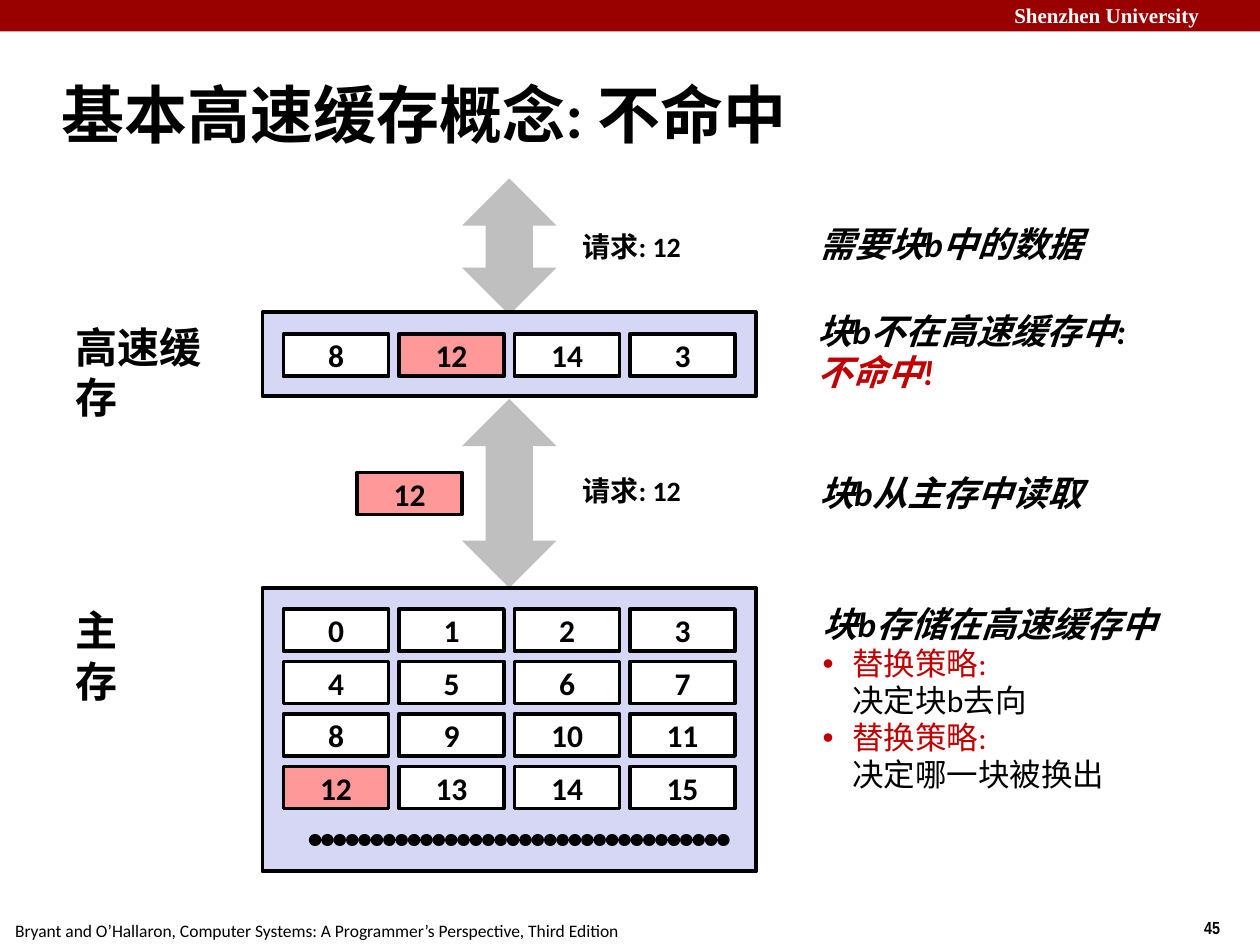
from dataclasses import dataclass

from lxml.etree import SubElement
from pptx import Presentation
from pptx.dml.color import RGBColor
from pptx.enum.shapes import MSO_CONNECTOR, MSO_SHAPE
from pptx.enum.text import MSO_ANCHOR as ANCHOR, MSO_AUTO_SIZE, PP_ALIGN as ALIGN
from pptx.oxml.ns import qn
from pptx.util import Pt

BLACK = RGBColor(0, 0, 0)
WHITE = RGBColor(0xFF, 0xFF, 0xFF)
BANNER = RGBColor(0x99, 0, 0)
RED = RGBColor(0xC0, 0, 0)
GREY = RGBColor(0xBF, 0xBF, 0xBF)
LAVENDER = RGBColor(0xD6, 0xD6, 0xF5)
PINK = RGBColor(0xFF, 0x99, 0x99)

CELL_W, CELL_H = 60, 24
STEP_X, STEP_Y = 66, 30
GRID_LEFT, CACHE_TOP, MEMORY_TOP = 162, 191, 348
REQUESTED = 12


@dataclass
class Label:
    text: str
    left: float
    top: float
    width: float
    height: float
    size: float
    bold: bool = True
    italic: bool = False
    color: RGBColor = BLACK
    font: str = "Calibri"
    align: ALIGN = ALIGN.LEFT
    anchor: ANCHOR = ANCHOR.TOP
    spacing: float = 1.0
    wrap: bool = False


def note(text: str, left: float, top: float, width: float, height: float) -> Label:
    """Describe an italic comment in the right-hand column."""
    return Label(text, left, top, width, height, 20, italic=True,
                 anchor=ANCHOR.MIDDLE, spacing=0.98)


def request(top: float) -> Label:
    return Label(f"请求: {REQUESTED}", 324, top, 74, 26.5, 16, align=ALIGN.CENTER)


FRAME_LABELS = [
    Label("Shenzhen University", 572.5, -2, 152.5, 21.5, 12, color=WHITE,
          font="Times New Roman", wrap=True),
    Label("45", 681, 520.5, 54, 19.5, 10, font="Arial Narrow"),
    Label("Bryant and O’Hallaron, Computer Systems: A Programmer’s Perspective, "
          "Third Edition", 1.5, 522, 361, 19.5, 10, bold=False),
]
DIAGRAM_LABELS = [
    Label("高速缓存", 36, 180, 110, 36, 24),
    Label("主存", 36, 342, 62, 36, 24),
    request(127.5),
    request(267),
    note("需要块b中的数据", 461, 124.5, 175, 31),
    note("块b从主存中读取", 461, 267, 175, 31),
]
MISS_NOTE = note("块b不在高速缓存中:\n不命中!", 460, 174, 205, 55)
POLICY_NOTE = note("块b存储在高速缓存中\n替换策略:\v决定块b去向\n替换策略:\v决定哪一块被换出",
                   463, 341.5, 214.5, 116)


def style_run(r, size: float, bold: bool, italic: bool, color: RGBColor,
              font: str = "Calibri") -> None:
    r.font.name = font
    r.font.size = Pt(size)
    r.font.bold = bold
    r.font.italic = italic
    r.font.color.rgb = color


def draw_label(slide, label: Label):
    box = slide.shapes.add_textbox(Pt(label.left), Pt(label.top),
                                   Pt(label.width), Pt(label.height))
    tf = box.text_frame
    tf.text = label.text
    tf.word_wrap = label.wrap
    tf.auto_size = MSO_AUTO_SIZE.SHAPE_TO_FIT_TEXT
    tf.vertical_anchor = label.anchor
    for p in tf.paragraphs:
        p.alignment = label.align
        p.line_spacing = label.spacing
        for r in p.runs:
            style_run(r, label.size, label.bold, label.italic, label.color, label.font)
    return tf


def draw_shape(slide, kind: MSO_SHAPE, left: float, top: float, width: float,
               height: float, fill: RGBColor, outlined: bool = False):
    sp = slide.shapes.add_shape(kind, Pt(left), Pt(top), Pt(width), Pt(height))
    sp.shadow.inherit = False
    sp.fill.solid()
    sp.fill.fore_color.rgb = fill
    if outlined:
        sp.line.color.rgb = BLACK
        sp.line.width = Pt(2.25)
    else:
        sp.line.fill.background()
    return sp


def draw_block(slide, number: int, left: float, top: float) -> None:
    fill = PINK if number == REQUESTED else WHITE
    sp = draw_shape(slide, MSO_SHAPE.RECTANGLE, left, top, CELL_W, CELL_H, fill, True)
    tf = sp.text_frame
    tf.text = str(number)
    tf.vertical_anchor = ANCHOR.MIDDLE
    p = tf.paragraphs[0]
    p.alignment = ALIGN.CENTER
    style_run(p.runs[0], 18, True, False, BLACK)


def draw_row(slide, numbers: list[int], top: float) -> None:
    for column, number in enumerate(numbers):
        draw_block(slide, number, GRID_LEFT + column * STEP_X, top)


def draw_dots(slide, left: float, right: float, y: float) -> None:
    """Draw a row of touching round dots."""
    line = slide.shapes.add_connector(MSO_CONNECTOR.STRAIGHT,
                                      Pt(left), Pt(y), Pt(right), Pt(y))
    line.line.color.rgb = BLACK
    line.line.width = Pt(7)
    ln = line.line._get_or_add_ln()
    ln.set("cap", "rnd")
    dash = SubElement(ln, qn("a:custDash"))
    SubElement(dash, qn("a:ds"), d="100000", sp="1000")
    SubElement(line._element.spPr, qn("a:effectLst"))


def add_bullet(p, color: RGBColor) -> None:
    ppr = p._p.get_or_add_pPr()
    ppr.set("marL", str(Pt(17)))
    ppr.set("indent", str(-Pt(17)))
    SubElement(SubElement(ppr, qn("a:buClr")), qn("a:srgbClr"), val=str(color))
    SubElement(ppr, qn("a:buFont"), typeface="Arial")
    SubElement(ppr, qn("a:buChar"), char="•")


def draw_title(slide, text: str) -> None:
    title = slide.shapes.title
    title.left, title.top, title.width, title.height = Pt(28), Pt(35), Pt(598), Pt(60)
    tf = title.text_frame
    tf.text = text
    tf.vertical_anchor = ANCHOR.MIDDLE
    p = tf.paragraphs[0]
    p.alignment = ALIGN.LEFT
    style_run(p.runs[0], 36, True, False, BLACK)


def main() -> None:
    prs = Presentation()
    prs.slide_width, prs.slide_height = Pt(720), Pt(540)
    slide = prs.slides.add_slide(prs.slide_layouts[5])

    draw_shape(slide, MSO_SHAPE.RECTANGLE, 0, 0, 720, 18, BANNER)
    for label in FRAME_LABELS:
        draw_label(slide, label)
    draw_title(slide, "基本高速缓存概念: 不命中")

    for top, height in ((102, 78), (228, 108)):
        draw_shape(slide, MSO_SHAPE.UP_DOWN_ARROW, 264, top, 54, height, GREY)
    for top, height in ((336, 162), (178.5, 48)):
        draw_shape(slide, MSO_SHAPE.RECTANGLE, 150, top, 282, height, LAVENDER, True)

    draw_row(slide, [8, 12, 14, 3], CACHE_TOP)
    for row in range(4):
        first = row * 4
        draw_row(slide, list(range(first, first + 4)), MEMORY_TOP + row * STEP_Y)
    draw_block(slide, REQUESTED, 204, 270)
    draw_dots(slide, 180, 420, 480)

    for label in DIAGRAM_LABELS:
        draw_label(slide, label)
    miss = draw_label(slide, MISS_NOTE).paragraphs[1]
    miss.runs[0].font.color.rgb = RED
    for p in draw_label(slide, POLICY_NOTE).paragraphs[1:]:
        add_bullet(p, RED)
        for r, color in zip(p.runs, (RED, BLACK)):
            style_run(r, 18, False, False, color)

    prs.save("out.pptx")


if __name__ == "__main__":
    main()
